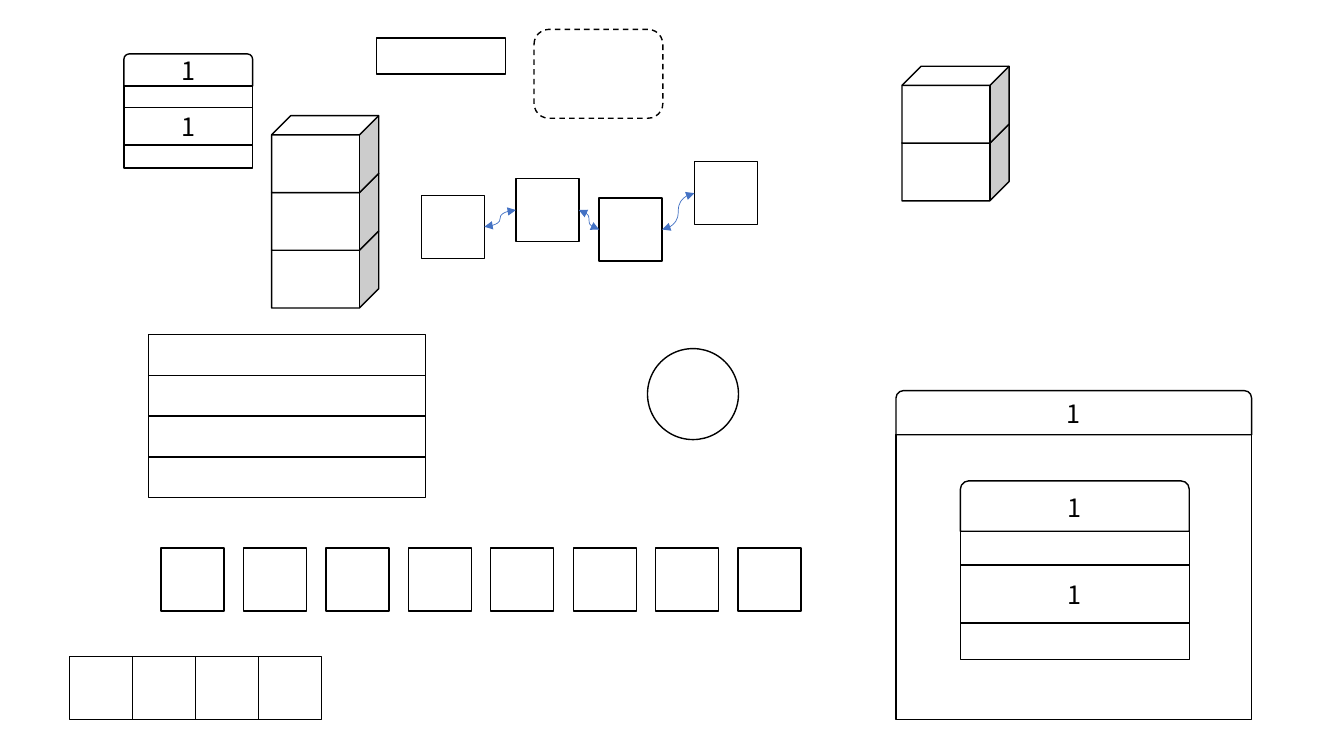
import pptx
import pptx.util
import pptx.dml.color
import pptx.enum.dml
import pptx.enum.shapes
import pptx.enum.text
import pptx.oxml
import pptx.oxml.ns

Pt = pptx.util.Pt
KIND = pptx.enum.shapes.MSO_SHAPE


def color(hex_string):
    return pptx.dml.color.RGBColor.from_string(hex_string)


def add_outline(shapes, kind, left, top, width, height, fill=None, text=None):
    shape = shapes.add_shape(kind, Pt(left), Pt(top), Pt(width), Pt(height))
    shape.shadow.inherit = False
    if fill:
        shape.fill.solid()
        shape.fill.fore_color.rgb = color(fill)
    else:
        shape.fill.background()
    shape.line.color.rgb = color("000000")
    shape.line.width = Pt(1)
    if text:
        shape.text_frame.vertical_anchor = pptx.enum.text.MSO_ANCHOR.MIDDLE
        paragraph = shape.text_frame.paragraphs[0]
        paragraph.alignment = pptx.enum.text.PP_ALIGN.CENTER
        run = paragraph.add_run()
        run.text = text
        run.font.name = "Noto Sans CJK SC"
        run.font.size = Pt(18)
        run.font.color.rgb = color("000000")
    return shape


deck = pptx.Presentation()
deck.slide_width = Pt(960)
deck.slide_height = Pt(540)
slide = deck.slides.add_slide(deck.slide_layouts[6])
canvas = slide.shapes

# Dashed container
dashed_box = add_outline(canvas, KIND.ROUNDED_RECTANGLE, 381.5, 21, 92, 63.5, "FFFFFF")
dashed_box.line.dash_style = pptx.enum.dml.MSO_LINE.DASH

# Stack of four wide bars
for row in range(4):
    add_outline(canvas, KIND.RECTANGLE, 106, 239 + 29.1 * row, 198, 29.1)

# Single bar
add_outline(canvas, KIND.RECTANGLE, 269, 27, 92, 26)

# Small titled card
small_card = canvas.add_group_shape().shapes
add_outline(small_card, KIND.RECTANGLE, 88.5, 61.5, 92, 58.5)
add_outline(small_card, KIND.RECTANGLE, 88.5, 77, 92, 26.5, text="1")
add_outline(small_card, KIND.ROUND_2_SAME_RECTANGLE, 88.5, 38.5, 92, 23, text="1")

# Large card with a nested card
large_card = canvas.add_group_shape().shapes
add_outline(large_card, KIND.RECTANGLE, 640, 310.5, 254, 203.5)
add_outline(large_card, KIND.ROUND_2_SAME_RECTANGLE, 640, 279, 254, 31.5, text="1")
add_outline(large_card, KIND.RECTANGLE, 686, 379.5, 163.5, 91.5)
add_outline(large_card, KIND.RECTANGLE, 686, 403.5, 163.5, 41.5, text="1")
add_outline(large_card, KIND.ROUND_2_SAME_RECTANGLE, 686, 343.5, 163.5, 36, text="1")

# Rows of squares: (count, left, top, pitch)
SQUARE = 45
for count, left, top, pitch in [(8, 115, 391.5, 58.9), (4, 49.5, 469, SQUARE)]:
    square_row = canvas.add_group_shape().shapes
    for column in range(count):
        add_outline(square_row, KIND.RECTANGLE, left + pitch * column, top, SQUARE, SQUARE)

# Chain of squares linked by two-way arrows
chain = canvas.add_group_shape().shapes
links = [add_outline(chain, KIND.RECTANGLE, left, top, SQUARE, SQUARE)
         for left, top in [(301, 139.5), (368.5, 127.5), (428, 141.5), (496, 115.5)]]
RIGHT_SIDE, LEFT_SIDE = 3, 1
for link, next_link in zip(links, links[1:]):
    arrow = chain.add_connector(pptx.enum.shapes.MSO_CONNECTOR.CURVE, 0, 0, 0, 0)
    arrow.begin_connect(link, RIGHT_SIDE)
    arrow.end_connect(next_link, LEFT_SIDE)
    arrow.line.color.rgb = color("4472C4")
    arrow.line.width = Pt(0.5)
    line_xml = arrow.line._get_or_add_ln()
    for end in ("a:headEnd", "a:tailEnd"):
        line_xml.append(pptx.oxml.parse_xml(
            f'<{end} {pptx.oxml.ns.nsdecls("a")} type="triangle"/>'))
    arrow._element.spPr.append(pptx.oxml.parse_xml(
        f'<a:effectLst {pptx.oxml.ns.nsdecls("a")}/>'))

# Cube towers, built from the bottom up: (count, left, top of lowest cube)
for count, left, bottom_top in [(2, 644.3, 88.5), (3, 194, 165)]:
    tower = canvas.add_group_shape().shapes
    for level in range(count):
        add_outline(tower, KIND.CUBE, left, bottom_top - 41.2 * level, 76.5, 55, "FFFFFF")

# Circle
add_outline(canvas, KIND.OVAL, 462.5, 249, 65, 65)

deck.save("out.pptx")
